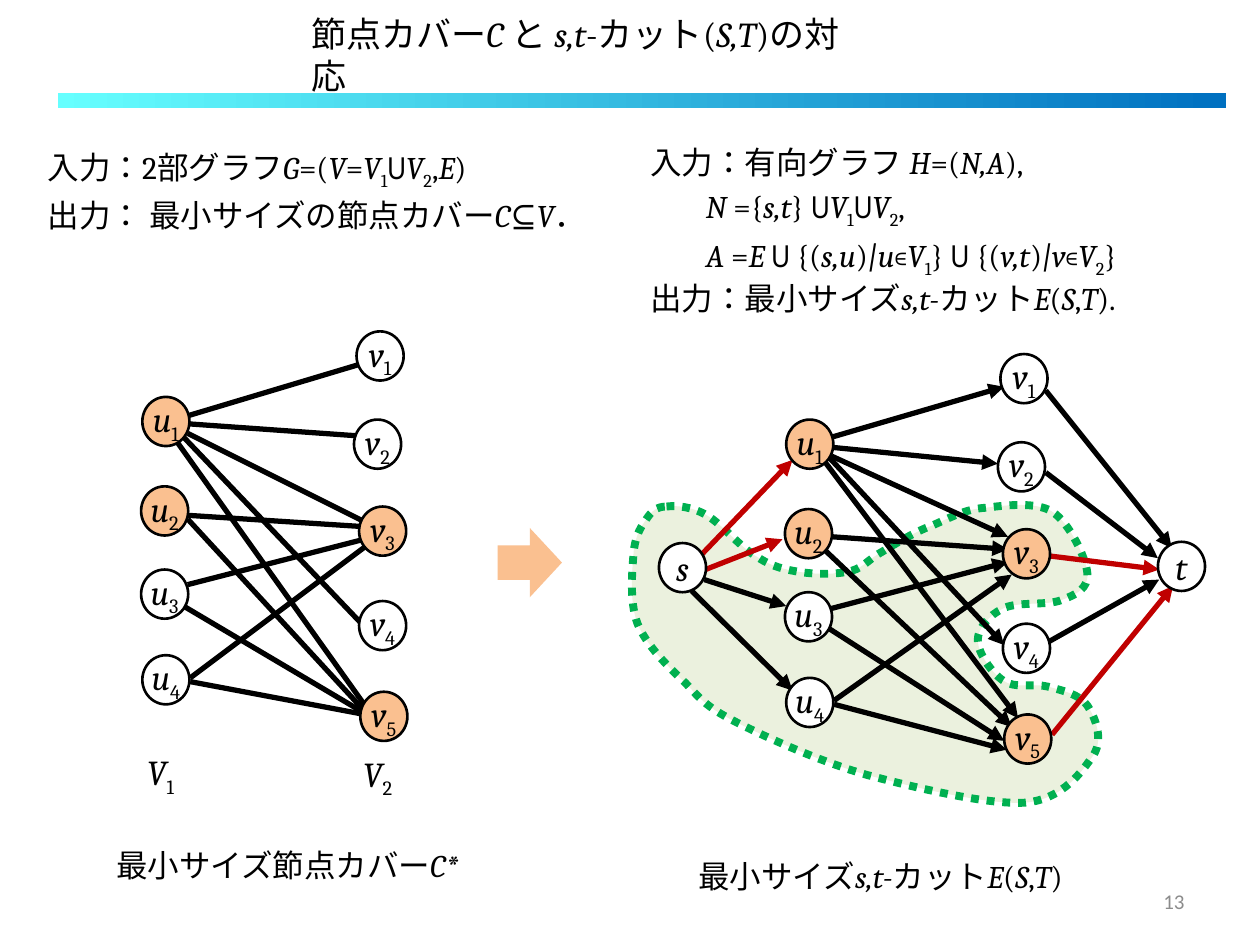
"""Build a slide relating vertex covers of a bipartite graph to s,t-cuts."""
from lxml.etree import SubElement
from pptx import Presentation
from pptx.dml.color import RGBColor
from pptx.enum.dml import MSO_LINE as Dash
from pptx.enum.lang import MSO_LANGUAGE_ID as Language
from pptx.enum.shapes import MSO_CONNECTOR as Link, MSO_SHAPE as Preset
from pptx.enum.text import MSO_ANCHOR as Anchor, MSO_AUTO_SIZE as Fit, PP_ALIGN as Align
from pptx.oxml.ns import qn
from pptx.util import Inches, Pt

color = RGBColor.from_string
BLACK, WHITE, ORANGE, RED = "000000", "FFFFFF", "FAC090", "C00000"

deck = Presentation()
deck.slide_width, deck.slide_height = Inches(10), Inches(7.5)
cell = deck.slide_width / 100
shapes = deck.slides.add_slide(deck.slide_layouts[6]).shapes


def span(*cells):
    """Turn counts of grid cells into lengths."""
    return [round(count * cell) for count in cells]


def write(paragraph, markup, size, face="Cambria", ink=BLACK):
    """Add runs: /italic/, _subscript_, and a lone U as the union sign."""
    for order, chunk in enumerate(markup.split("/")):
        for depth, words in enumerate(chunk.split("_")):
            if not words:
                continue
            run = paragraph.add_run()
            run.text = words
            run.font.color.rgb = color(ink)
            look = {
                "size": Pt(size),
                "italic": order % 2 == 1,
                "name": "Arial Narrow" if words.strip() == "U" else face,
                "language_id": Language.JAPANESE,
            }
            for key, value in look.items():
                setattr(run.font, key, value)
            if depth % 2:
                run._r.get_or_add_rPr().set("baseline", "-25000")


cut_start = (52.9, 40.2)
cut_curves = [
    (53.7, 40.1, 54.9, 40.2, 56.1, 40.9), (57.3, 41.6, 58.8, 43.5, 60.1, 44.2),
    (61.3, 45, 62.3, 45.2, 63.5, 45.4), (64.8, 45.6, 66.5, 45.6, 67.6, 45.3),
    (68.6, 45, 68.9, 44.4, 70, 43.8), (71, 43.2, 72.6, 42.2, 74, 41.7),
    (75.4, 41.1, 76.6, 40.4, 78.2, 40.3), (79.8, 40.1, 82.2, 39.8, 83.5, 40.6),
    (84.9, 41.5, 86.2, 44.3, 86.3, 45.5), (86.4, 46.7, 85.4, 47.2, 84.3, 47.6),
    (83.2, 48.1, 80.7, 47.7, 79.6, 48.3), (78.5, 48.8, 77.6, 49.9, 77.6, 50.8),
    (77.6, 51.8, 78.7, 53.4, 79.6, 54), (80.5, 54.7, 82.1, 54.2, 83.2, 54.5),
    (84.3, 54.8, 85.7, 55.1, 86.3, 56), (86.9, 56.9, 87.6, 58.6, 86.8, 59.9),
    (85.9, 61.2, 84.4, 63.4, 81.4, 63.7), (78.4, 63.9, 72.6, 62.5, 68.8, 61.5),
    (65, 60.4, 61, 58.6, 58.6, 57.4), (56.2, 56.2, 55.7, 55.6, 54.4, 54.2),
    (53, 52.9, 51.3, 51.2, 50.6, 49.5), (49.9, 47.7, 50.2, 45, 50.3, 43.7),
    (50.5, 42.3, 50.9, 41.8, 51.3, 41.2), (51.7, 40.6, 52.1, 40.2, 52.9, 40.2),
]
builder = shapes.build_freeform(*span(*cut_start))
builder.add_line_segments([span(*curve[4:]) for curve in cut_curves], close=False)
cut = builder.convert_to_shape()
for side, curve in zip(list(cut._element.iter(qn("a:lnTo"))), cut_curves):
    contour = side.getparent()
    contour.remove(side)
    bend = SubElement(contour, qn("a:cubicBezTo"))
    lengths = span(*curve)
    for x, y in zip(lengths[::2], lengths[1::2]):
        SubElement(bend, qn("a:pt"), x=str(x - cut.left), y=str(y - cut.top))
SubElement(contour, qn("a:close"))
cut.shadow.inherit = False
cut.fill.solid()
cut.fill.fore_color.rgb = color("EBF1DE")
cut.line.color.rgb = color("00B050")
for key, value in {"width": Pt(4.5), "dash_style": Dash.ROUND_DOT}.items():
    setattr(cut.line, key, value)

cover_edges = [
    (14.9, 33, 28.6, 28.9), (14.9, 34.4, 28.9, 41.4), (14, 35, 28.9, 55.9),
    (14.9, 40.9, 28.9, 41.8), (14.9, 41.2, 28.9, 56.4), (15.1, 54.1, 28.9, 56.7),
    (29.1, 43.3, 15.1, 53.8), (29.1, 56.7, 14.4, 48), (14.4, 33.6, 28.5, 34.6),
    (14.1, 34.2, 28.6, 49.4), (14.9, 46.4, 28.9, 42.8),
]
flow_arcs = [
    (66, 34.7, 79.7, 30.7), (66, 36.2, 80, 42.6), (65.5, 36.7, 80.8, 57),
    (66, 42.6, 80, 43.6), (65.4, 43.6, 80.3, 57.7), (66.2, 55.9, 79.9, 59.5),
    (66.2, 55.6, 80.3, 45.6), (65.5, 49.7, 79.7, 58.8), (66, 35.5, 79.2, 36.8),
    (65.7, 36.2, 79.7, 51.2), (65.2, 48.5, 80, 44.6), (55.9, 46, 62.4, 48.1),
    (54.9, 46.9, 62.9, 54.8), (83, 31, 93, 43.5), (83, 37.5, 91.9, 44.3),
    (82.4, 51.4, 92, 46),
]
cut_arcs = [
    (55.6, 44.1, 62.9, 36.5), (56, 45.2, 62.1, 42.8),
    (83.1, 44.1, 92, 45.2), (83.5, 58.3, 93.1, 46.5),
]
for group, ink, directed in (
    (cover_edges, BLACK, False), (flow_arcs, BLACK, True), (cut_arcs, RED, True)
):
    for ends in group:
        edge = shapes.add_connector(Link.STRAIGHT, *span(*ends))
        edge.line.width = Pt(3)
        edge.line.color.rgb = color(ink)
        if directed:
            SubElement(edge.line._get_or_add_ln(), qn("a:tailEnd"), type="triangle")
        SubElement(edge._element.spPr, qn("a:effectLst"))

bipartite = [
    ("/u/_1_", 11.3, 31.5, ORANGE), ("/u/_2_", 11.2, 38.6, ORANGE),
    ("/u/_3_", 11.2, 45.2, WHITE), ("/u/_4_", 11.3, 52, WHITE),
    ("/v/_1_", 28.3, 26.3, WHITE), ("/v/_2_", 28.1, 33.3, WHITE),
    ("/v/_3_", 28.5, 40.2, ORANGE), ("/v/_4_", 28.5, 47.7, WHITE),
    ("/v/_5_", 28.6, 54.9, ORANGE),
]
network = [(name, x + 51.1, y + 1.8, tint) for name, x, y, tint in bipartite]
terminals = [("/s/", 52.3, 43.1, WHITE), ("/t/", 91.9, 43, WHITE)]
for name, x, y, tint in bipartite + network + terminals:
    node = shapes.add_shape(Preset.OVAL, *span(x, y, 3.74, 3.9))
    node.shadow.inherit = False
    node.fill.solid()
    node.fill.fore_color.rgb = color(tint)
    node.line.color.rgb = color(BLACK)
    node.line.width = Pt(1.5)
    for key, value in {"word_wrap": False, "vertical_anchor": Anchor.MIDDLE}.items():
        setattr(node.text_frame, key, value)
    label = node.text_frame.paragraphs[0]
    label.alignment = Align.CENTER
    write(label, name, 20)

rule = shapes.add_shape(Preset.RECTANGLE, *span(4.6, 7.4, 92.7, 1.2))
rule.fill.gradient()
rule.fill.gradient_angle = 0
for stop, tint in zip(rule.fill.gradient_stops, ("66FFFF", "0070C0")):
    stop.color.rgb = color(tint)
arrow = shapes.add_shape(Preset.RIGHT_ARROW, *span(39.5, 41.9, 5.1, 5.5))
arrow.fill.solid()
arrow.fill.fore_color.rgb = color(ORANGE)
for ornament in (rule, arrow):
    ornament.shadow.inherit = False
    ornament.line.fill.background()

problem_in = "入力：2部グラフ/G/=(/V/=/V/_1_U/V/_2_,/E/)"
problem_out = "出力： 最小サイズの節点カバー/C/⊆/V/．"
network_in = "入力：有向グラフ/ H/=(/N,A/),"
network_nodes = "/N /={/s,t/}// U/V/_1_U/V/_2_,"
network_arcs = "/A /=/E /U// {(/s,u/)/|u/∊/V/_1_}// U// {(/v,t/)/|v/∊/V/_2_}"
network_out = "出力：最小サイズ/s,t-/カット/E/(/S/,/T/)."
passages = [
    ((23.7, 0.54, 46.2, 4.4), 20, ["節点カバー/C /と /s,t/-カット(/S,T/)の対応"]),
    ((8.24, 66.66, 29.3, 4), 18, ["最小サイズ節点カバー/C*/"]),
    ((54.45, 67.5, 30.9, 4), 18, ["最小サイズ/s,t-/カット/E/(/S/,/T/)"]),
    ((2.8, 10.74, 46.5, 8), 18, [problem_in, problem_out]),
    ((50.64, 10.4, 46.7, 14.9), 18, [network_in, network_nodes, network_arcs, network_out]),
    ((10.7, 59.1, 5, 4.4), 20, ["/V/_1_"]),
    ((27.84, 59.2, 5, 4.4), 20, ["/V/_2_"]),
]
for place, size, lines in passages:
    frame = shapes.add_textbox(*span(*place)).text_frame
    for key, value in {"word_wrap": True, "auto_size": Fit.SHAPE_TO_FIT_TEXT}.items():
        setattr(frame, key, value)
    for order, line in enumerate(lines):
        paragraph = frame.add_paragraph() if order else frame.paragraphs[0]
        if len(lines) > 1 and line != network_out:
            paragraph.line_spacing = 1.15
        if line in (network_nodes, network_arcs):
            paragraph._p.get_or_add_pPr().set("marL", str(span(4.4)[0]))
        write(paragraph, line, size)

page = shapes.add_textbox(*span(71.7, 69.5, 23.3, 4)).text_frame
for key, value in {"word_wrap": True, "vertical_anchor": Anchor.MIDDLE}.items():
    setattr(page, key, value)
page.paragraphs[0].alignment = Align.RIGHT
write(page.paragraphs[0], "13", 12, "Calibri", "8C8C8C")

deck.save("out.pptx")
